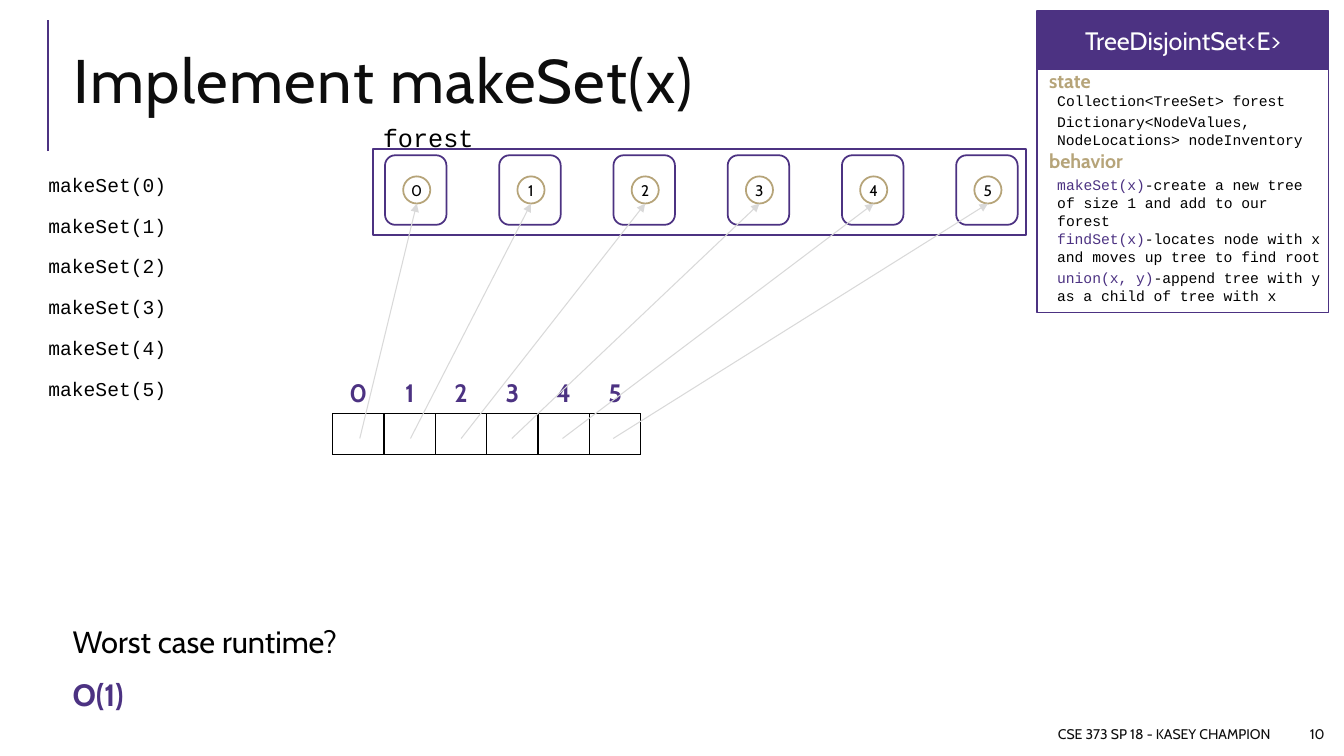
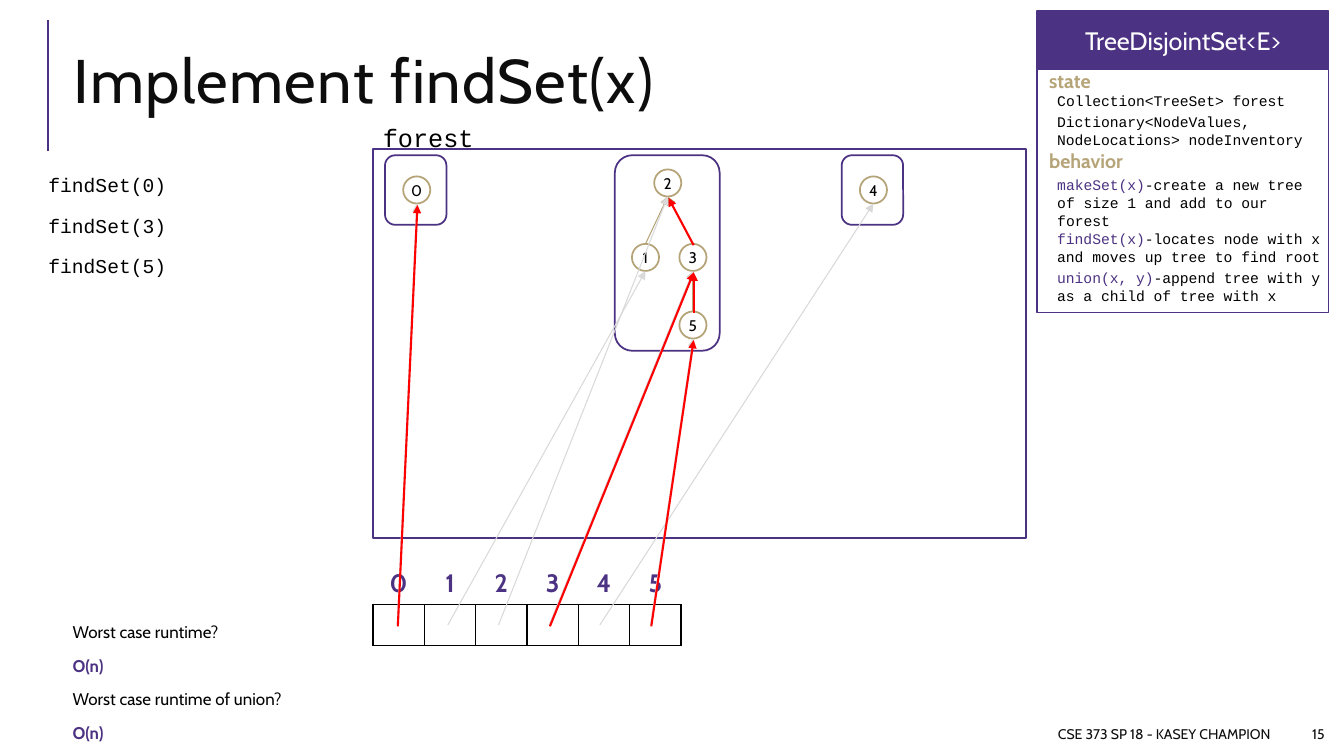
from lxml import etree
from pptx import Presentation
from pptx.dml.color import RGBColor
from pptx.enum.shapes import MSO_CONNECTOR, MSO_SHAPE
from pptx.enum.text import MSO_ANCHOR, MSO_AUTO_SIZE, PP_ALIGN
from pptx.oxml import parse_xml
from pptx.oxml.ns import nsdecls, qn
from pptx.util import Pt

RECT, ROUNDED, OVAL = MSO_SHAPE.RECTANGLE, MSO_SHAPE.ROUNDED_RECTANGLE, MSO_SHAPE.OVAL
LEFT, CENTER, RIGHT = PP_ALIGN.LEFT, PP_ALIGN.CENTER, PP_ALIGN.RIGHT
TOP, MIDDLE = MSO_ANCHOR.TOP, MSO_ANCHOR.MIDDLE
STRAIGHT = MSO_CONNECTOR.STRAIGHT
NO_AUTOFIT = MSO_AUTO_SIZE.NONE

PURPLE, GOLD, GREY, RED = "4C3282", "B6A479", "D9D9D9", "FF0000"
BLACK, WHITE, TITLE_INK = "000000", "FFFFFF", "0D0D0D"
SANS, MONO = "Cabin", "Courier New"
NODE = 19.4  # diameter of a tree node
rgb = RGBColor.from_string


def add_box(slide, at, runs=(), kind=None, fill=None, outline=None,
            align=LEFT, anchor=TOP, wrap=True):
    """Text box, or a preset shape when kind is given; runs are (text, font, size, colour, bold)."""
    bounds = [Pt(v) for v in at]
    if kind is None:
        box = slide.shapes.add_textbox(*bounds)
    else:
        box = slide.shapes.add_shape(kind, *bounds)
        box.shadow.inherit = False
        if fill:
            box.fill.solid()
            box.fill.fore_color.rgb = rgb(fill)
        else:
            box.fill.background()
        box.line.color.rgb = rgb(outline)
        box.line.width = Pt(1.25)
    frame = box.text_frame
    frame.word_wrap = wrap
    frame.vertical_anchor = anchor
    paragraph = frame.paragraphs[0]
    paragraph.alignment = align
    for text, font, size, colour, bold in runs:
        run = paragraph.add_run()
        run.text = text
        run.font.name, run.font.size, run.font.bold = font, Pt(size), bold
        run.font.color.rgb = rgb(colour)
    return box


def add_line(slide, start, end, colour, width, arrow=True):
    line = slide.shapes.add_connector(STRAIGHT, *[Pt(v) for v in (*start, *end)])
    line.line.color.rgb = rgb(colour)
    line.line.width = Pt(width)
    if arrow:
        etree.SubElement(line.line._get_or_add_ln(), qn("a:tailEnd"), type="triangle")
    etree.SubElement(line._element.spPr, qn("a:effectLst"))


# Class summary: place and runs of each entry
panel_entries = [
    ((742.3, 45.4, 160.6, 24.5), [("state", SANS, 14, GOLD, True)]),
    ((748.1, 61.9, 185.8, 20.2), [("Collection<TreeSet> forest", MONO, 10.5, BLACK, False)]),
    ((748.1, 77, 191.5, 32.4),
     [("Dictionary<NodeValues, NodeLocations> nodeInventory", MONO, 10.5, BLACK, False)]),
    ((742.3, 103, 160.6, 24.5), [("behavior", SANS, 14, GOLD, True)]),
]
for top, width, height, method, effect in (
    (122.4, 200.9, 45.4, "makeSet(x)", "-create a new tree of size 1 and add to our forest"),
    (160.6, 208.8, 33.8, "findSet(x)", "-locates node with x and moves up tree to find root"),
    (188.6, 208.8, 33.8, "union(x, y)", "-append tree with y as a child of tree with x"),
):
    panel_entries.append(((748.1, top, width, height),
                          [(method, MONO, 10.5, PURPLE, False),
                           (effect, MONO, 10.5, BLACK, False)]))

# What differs between the slides
single_tree_x = [275 + 81.6 * i for i in range(6)]
pages = [
    dict(title="Implement makeSet(x)", number="10",
         calls=[f"makeSet({i})" for i in range(6)],
         runtime=[("Worst case runtime?", False), ("O(1)", True)],
         runtime_size=22, runtime_spacing=0.9, runtime_height=69,
         forest_height=61.2,
         trees=[(x, 43.9, 49.7) for x in single_tree_x],
         nodes=[(x + 13, 126) for x in single_tree_x],
         edges=[], table=(237.6, 266.4), pointer=(257, 313.2),
         red_pointers=[], red_edges=[]),
    dict(title="Implement findSet(x)", number="15",
         calls=[f"findSet({i})" for i in (0, 3, 5)],
         runtime=[("Worst case runtime?", False), ("O(n)", True),
                  ("Worst case runtime of union?", False), ("O(n)", True)],
         runtime_size=12.1, runtime_spacing=0.7, runtime_height=95,
         forest_height=277.9,
         trees=[(275, 43.9, 49.7), (439.2, 74.9, 139.7), (601.2, 43.9, 49.7)],
         nodes=[(288, 126), (451.4, 174.2), (467.3, 121),
                (485.3, 174.2), (614.2, 126), (485.3, 222.5)],
         edges=[(5, 3), (1, 2), (3, 2)], table=(266.4, 402.5), pointer=(283.7, 446.4),
         red_pointers=[0, 3, 5], red_edges=[(3, 2), (5, 3)]),
]

deck = Presentation()
deck.slide_width, deck.slide_height = Pt(960), Pt(540)

for page in pages:
    slide = deck.slides.add_slide(deck.slide_layouts[1])

    # Title with its bar, and the footer
    add_line(slide, (34, 108), (34, 14), PURPLE, 1.5, arrow=False)
    title = slide.shapes.title
    title.left, title.top, title.width, title.height = Pt(45.4), Pt(21), Pt(880.6), Pt(80)
    title.text_frame.vertical_anchor = MIDDLE
    title.text_frame.auto_size = NO_AUTOFIT
    heading = title.text_frame.paragraphs[0]
    heading.alignment = LEFT
    heading.line_spacing = 0.8
    run = heading.add_run()
    run.text = page["title"]
    run.font.name, run.font.size = SANS, Pt(44)
    run.font.color.rgb = rgb(TITLE_INK)
    run.font._element.set("spc", "100")
    for x, width, text in ((450, 464.4, "CSE 373 SP 18 - KASEY CHAMPION"),
                           (920.2, 33.1, page["number"])):
        add_box(slide, (x, 513.4, width, 21.6), [(text, SANS, 10, TITLE_INK, False)],
                align=RIGHT, anchor=MIDDLE)

    # Calls on the left, runtime question below
    calls = add_box(slide, (23.8, 121.7, 163.4, 252))
    runtime = slide.placeholders[1]
    runtime.left, runtime.top = Pt(41), Pt(444.2)
    runtime.width, runtime.height = Pt(880.6), Pt(page["runtime_height"])
    for holder, lines, font, size, spacing in (
        (calls, [(call, False) for call in page["calls"]], MONO, 14, 0.9),
        (runtime, page["runtime"], SANS, page["runtime_size"], page["runtime_spacing"]),
    ):
        frame = holder.text_frame
        frame.auto_size = NO_AUTOFIT
        frame.vertical_anchor = TOP
        frame.margin_left = frame.margin_right = Pt(3.6)
        frame.margin_top = frame.margin_bottom = Pt(3.6)
        for i, (text, answer) in enumerate(lines):
            paragraph = frame.add_paragraph() if i else frame.paragraphs[0]
            properties = paragraph._p.get_or_add_pPr()
            properties.set("marL", str(Pt(7.2)))
            properties.set("indent", "0")
            etree.SubElement(properties, qn("a:buNone"))
            paragraph.line_spacing = spacing
            paragraph.space_before = Pt(12 if i else 0)
            paragraph.space_after = Pt(2)
            run = paragraph.add_run()
            run.text = text
            run.font.name, run.font.size, run.font.bold = font, Pt(size), answer
            run.font.color.rgb = rgb(PURPLE if answer else BLACK)

    # Class summary panel
    add_box(slide, (740.9, 49.7, 208.1, 173.5), kind=RECT, outline=PURPLE)
    add_box(slide, (740.9, 7.9, 208.1, 41.8), [("TreeDisjointSet<E>", SANS, 18, WHITE, False)],
            kind=RECT, fill=PURPLE, outline=PURPLE, align=CENTER, anchor=MIDDLE)
    for at, runs in panel_entries:
        add_box(slide, at, runs)

    # Forest of trees
    add_box(slide, (266.4, 106.6, 466.6, page["forest_height"]), kind=RECT, outline=PURPLE)
    add_box(slide, (266.4, 84.2, 80, 28.8), [("forest", MONO, 18, BLACK, False)], wrap=False)
    for x, width, height in page["trees"]:
        add_box(slide, (x, 110.9, width, height), kind=ROUNDED, outline=PURPLE)
    for value, (x, y) in enumerate(page["nodes"]):
        node = add_box(slide, (x, y, NODE, NODE), [(str(value), SANS, 11, BLACK, False)],
                       kind=OVAL, fill=WHITE, outline=GOLD,
                       align=CENTER, anchor=MIDDLE, wrap=False)
        frame = node.text_frame
        frame.margin_left = frame.margin_right = frame.margin_top = frame.margin_bottom = 0

    # Inventory array: index row without borders above boxed cells
    left, top = page["table"]
    inventory = slide.shapes.add_table(2, 6, Pt(left), Pt(top), Pt(220.2), Pt(58.4)).table
    inventory.first_row = inventory.horz_banding = False
    for column in inventory.columns:
        column.width = Pt(36.7)
    for row in range(2):
        inventory.rows[row].height = Pt(29.2)
        for index in range(6):
            cell = inventory.cell(row, index)
            cell.fill.background()
            for position, side in enumerate(("lnL", "lnR", "lnT", "lnB")):
                edge = BLACK if row or side == "lnB" else WHITE
                cell._tc.get_or_add_tcPr().insert(position, parse_xml(
                    f'<a:{side} {nsdecls("a")} w="12700"><a:solidFill>'
                    f'<a:srgbClr val="{edge}"/></a:solidFill></a:{side}>'))
            if row == 0:
                paragraph = cell.text_frame.paragraphs[0]
                paragraph.alignment = CENTER
                run = paragraph.add_run()
                run.text = str(index)
                run.font.name, run.font.size, run.font.bold = SANS, Pt(18), True
                run.font.color.rgb = rgb(PURPLE)

    # Arrows: child to parent, array cell to node, then the followed path in red
    tops = [(x + NODE / 2, y) for x, y in page["nodes"]]
    bottoms = [(x, y + NODE) for x, y in tops]
    pointer_x, pointer_y = page["pointer"]
    starts = [(pointer_x + 36.2 * i, pointer_y) for i in range(6)]
    for child, parent in page["edges"]:
        add_line(slide, tops[child], bottoms[parent], GOLD, 0.75)
    for start, end in zip(starts, bottoms):
        add_line(slide, start, end, GREY, 0.75)
    followed = [(starts[i], bottoms[i]) for i in page["red_pointers"]]
    followed += [(tops[child], bottoms[parent]) for child, parent in page["red_edges"]]
    for (x1, y1), (x2, y2) in followed:
        add_line(slide, (x1 + 0.5, y1 + 1), (x2 + 0.5, y2 + 1), RED, 1.5)

deck.save("out.pptx")
